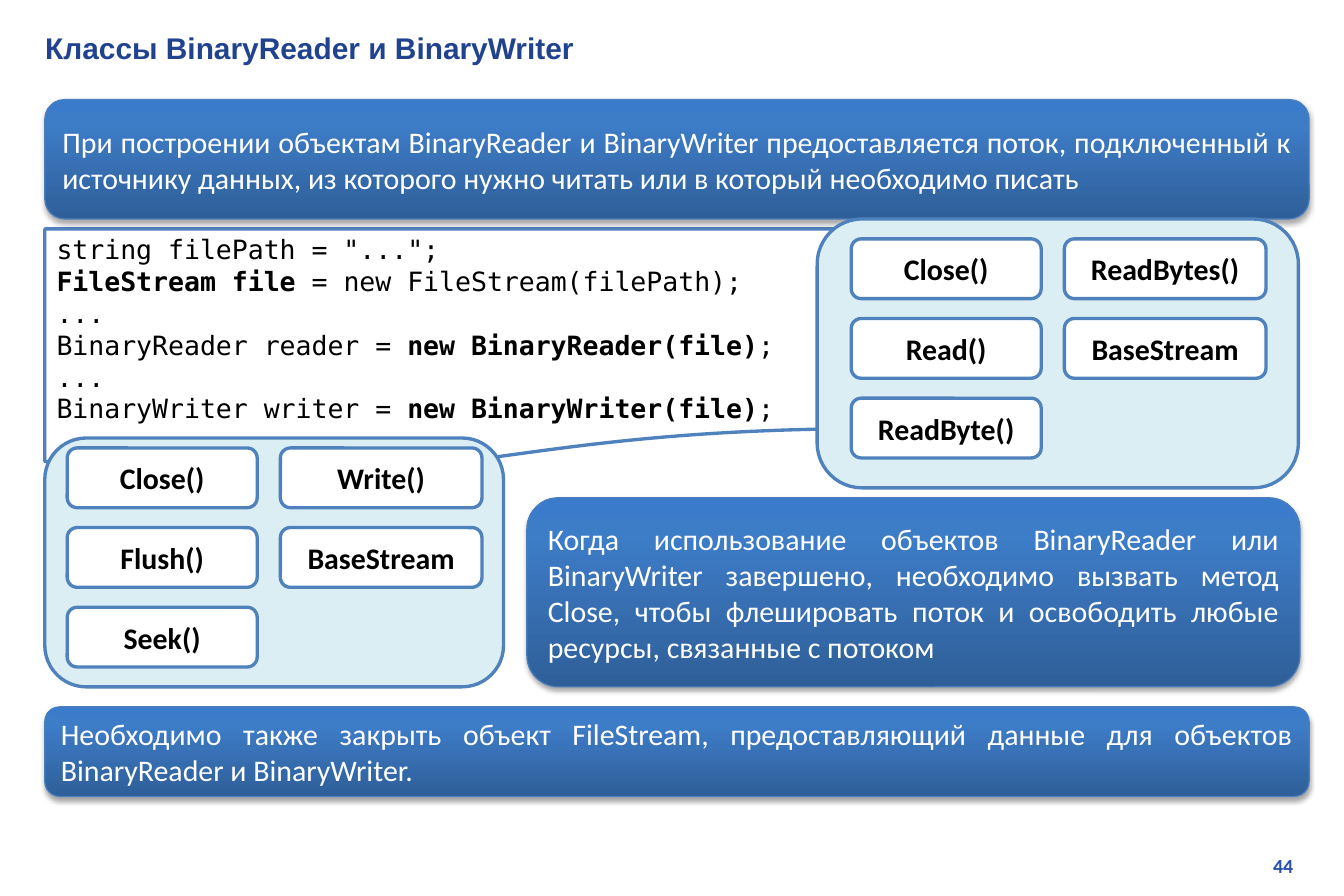
from copy import deepcopy

from pptx import Presentation
from pptx.dml.color import RGBColor
from pptx.enum.shapes import MSO_SHAPE
from pptx.enum.text import MSO_ANCHOR, MSO_AUTO_SIZE, PP_ALIGN
from pptx.oxml import parse_xml
from pptx.oxml.ns import nsdecls
from pptx.util import Pt

# Content
TITLE = "Классы BinaryReader и BinaryWriter"
SLIDE_NUMBER = "44"
# Each code line is a list of (text, bold) runs
CODE = [
    [('string filePath = "...";', False)],
    [("FileStream file", True), (" = new FileStream(filePath);", False)],
    [("...", False)],
    [("BinaryReader reader = ", False), ("new BinaryReader(file)", True), (";", False)],
    [("...", False)],
    [("BinaryWriter writer = ", False), ("new BinaryWriter(file)", True), (";", False)],
]
# Notes: text and box (left, top, width, height) in points
STREAM_NOTE = (
    "При построении объектам BinaryReader и BinaryWriter предоставляется поток, "
    "подключенный к источнику данных, из которого нужно читать или в который "
    "необходимо писать", (27, 60, 762, 72))
CLOSING_NOTES = [
    ("Когда использование объектов BinaryReader или BinaryWriter завершено, "
     "необходимо вызвать метод Close, чтобы флешировать поток и освободить любые "
     "ресурсы, связанные с потоком", (317.5, 300, 466, 114)),
    ("Необходимо также закрыть объект FileStream, предоставляющий данные для "
     "объектов BinaryReader и BinaryWriter.", (27, 426, 762, 54)),
]
# Member panels: panel box, first member's corner, columns of members
MEMBER_PANELS = [
    ((492.5, 132, 290, 162), (513, 144),
     [["Close()", "Read()", "ReadByte()"], ["ReadBytes()", "BaseStream"]]),
    ((27, 264, 276.5, 150), (40.5, 270),
     [["Close()", "Flush()", "Seek()"], ["Write()", "BaseStream"]]),
]

# Layout in points
TITLE_BOX = (20, 14.4, 773, 28.8)
NUMBER_BOX = (615, 511, 171.5, 21.6)
CODE_BOX = (27, 138, 506, 150)
COLUMN_WIDTHS = (114.5, 121.5)
COLUMN_STEP = 128.5
ROW_STEP = 48
MEMBER_HEIGHT = 36

# Style
WHITE = RGBColor(0xFF, 0xFF, 0xFF)
BLACK = RGBColor(0x00, 0x00, 0x00)
TITLE_BLUE = RGBColor(0x21, 0x43, 0x8F)
NUMBER_BLUE = RGBColor(0x27, 0x50, 0xAB)
OUTLINE_BLUE = RGBColor(0x4F, 0x81, 0xBD)
NOTE_OUTLINE = RGBColor(0x4B, 0x7E, 0xBC)
PANEL_FILL = RGBColor(0xDB, 0xEE, 0xF4)
NOTE_STOPS = [
    (0, RGBColor(0x2F, 0x5F, 0x99)),
    (0.8, RGBColor(0x3D, 0x7C, 0xC7)),
    (1, RGBColor(0x3A, 0x7C, 0xCB)),
]
ROUNDED = MSO_SHAPE.ROUNDED_RECTANGLE
DOCUMENT = MSO_SHAPE.FLOWCHART_DOCUMENT
LEFT, CENTER = PP_ALIGN.LEFT, PP_ALIGN.CENTER
RIGHT, JUSTIFY = PP_ALIGN.RIGHT, PP_ALIGN.JUSTIFY
MIDDLE = MSO_ANCHOR.MIDDLE


def in_points(box):
    return [Pt(length) for length in box]


def style_run(run, size, font, color, bold=False):
    run.font.size = Pt(size)
    run.font.name = font
    run.font.color.rgb = color
    run.font.bold = bold


def write(frame, text, align, size, font, color, bold=False, after=0):
    frame.text = text
    frame.word_wrap = True
    paragraph = frame.paragraphs[0]
    paragraph.alignment = align
    paragraph.space_after = Pt(after)
    style_run(paragraph.runs[0], size, font, color, bold)


def add_outlined(shapes, kind, box, fill):
    shape = shapes.add_shape(kind, *in_points(box))
    shape.shadow.inherit = False
    shape.fill.solid()
    shape.fill.fore_color.rgb = fill
    shape.line.color.rgb = OUTLINE_BLUE
    shape.line.width = Pt(2)
    shape.text_frame.vertical_anchor = MIDDLE
    return shape


def add_note(shapes, text, box):
    note = add_outlined(shapes, ROUNDED, box, WHITE)
    note.line.color.rgb = NOTE_OUTLINE
    note.line.width = Pt(0.75)
    # Three-stop gradient, dark at the bottom
    note.fill.gradient()
    note.fill.gradient_angle = 90
    properties = note.element.spPr
    stop_list = properties.find(".//{*}gsLst")
    stop_list.append(deepcopy(stop_list[-1]))
    for stop, (position, color) in zip(note.fill.gradient_stops, NOTE_STOPS):
        stop.position = position
        stop.color.rgb = color
    # Soft shadow below
    properties.find("{*}effectLst").append(parse_xml(
        f'<a:outerShdw {nsdecls("a")} blurRad="{Pt(3.1)}" dist="{Pt(1.8)}" '
        'dir="5400000" rotWithShape="0"><a:srgbClr val="000000">'
        '<a:alpha val="35000"/></a:srgbClr></a:outerShdw>'))
    write(note.text_frame, text, JUSTIFY, 18, "Calibri", WHITE, after=10)


def add_code(shapes):
    listing = add_outlined(shapes, DOCUMENT, CODE_BOX, WHITE)
    frame = listing.text_frame
    frame.word_wrap = True
    for index, line in enumerate(CODE):
        paragraph = frame.add_paragraph() if index else frame.paragraphs[0]
        paragraph.alignment = LEFT
        for text, bold in line:
            run = paragraph.add_run()
            run.text = text
            style_run(run, 16, "DejaVu Sans Mono", BLACK, bold)


def add_member_panel(shapes, panel_box, corner, columns):
    members = shapes.add_group_shape().shapes
    add_outlined(members, ROUNDED, panel_box, PANEL_FILL)
    for column, (names, width) in enumerate(zip(columns, COLUMN_WIDTHS)):
        for row, name in enumerate(names):
            box = (corner[0] + column * COLUMN_STEP, corner[1] + row * ROW_STEP,
                   width, MEMBER_HEIGHT)
            member = add_outlined(members, ROUNDED, box, WHITE)
            write(member.text_frame, name, CENTER, 18, "Calibri", BLACK, True, after=10)


def main():
    deck = Presentation()
    deck.slide_width, deck.slide_height = Pt(810), Pt(540)
    slide = deck.slides.add_slide(deck.slide_layouts[5])
    shapes = slide.shapes

    # Title and slide number
    title = shapes.title
    title.left, title.top, title.width, title.height = in_points(TITLE_BOX)
    title.text_frame.vertical_anchor = MIDDLE
    title.text_frame.auto_size = MSO_AUTO_SIZE.NONE
    write(title.text_frame, TITLE, LEFT, 18, "Arial", TITLE_BLUE, True)
    number = shapes.add_textbox(*in_points(NUMBER_BOX))
    write(number.text_frame, SLIDE_NUMBER, RIGHT, 12, "Calibri", NUMBER_BLUE, True)

    # Body, from back to front
    add_code(shapes)
    add_note(shapes, *STREAM_NOTE)
    for panel in MEMBER_PANELS:
        add_member_panel(shapes, *panel)
    for note in CLOSING_NOTES:
        add_note(shapes, *note)

    deck.save("out.pptx")


if __name__ == "__main__":
    main()
